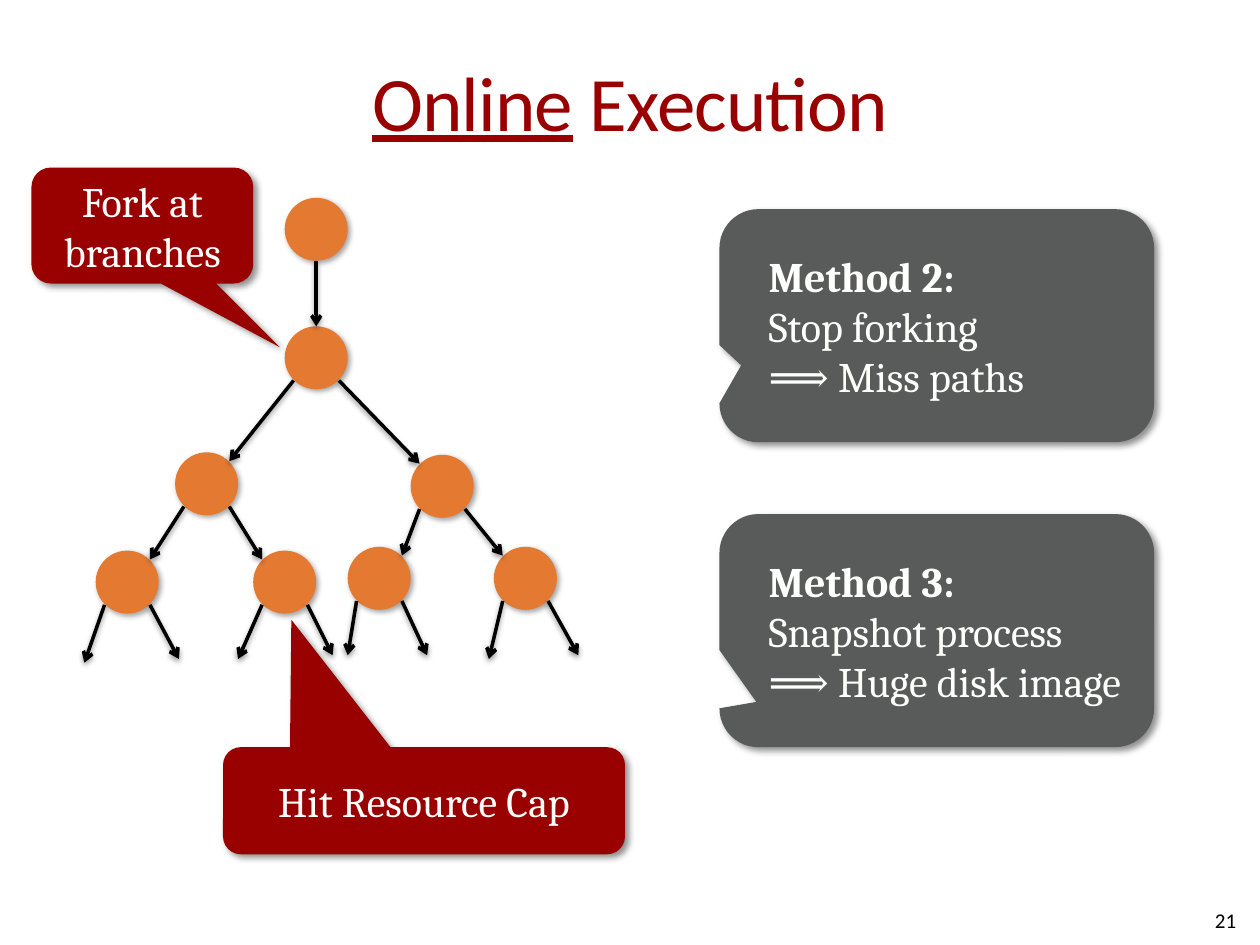
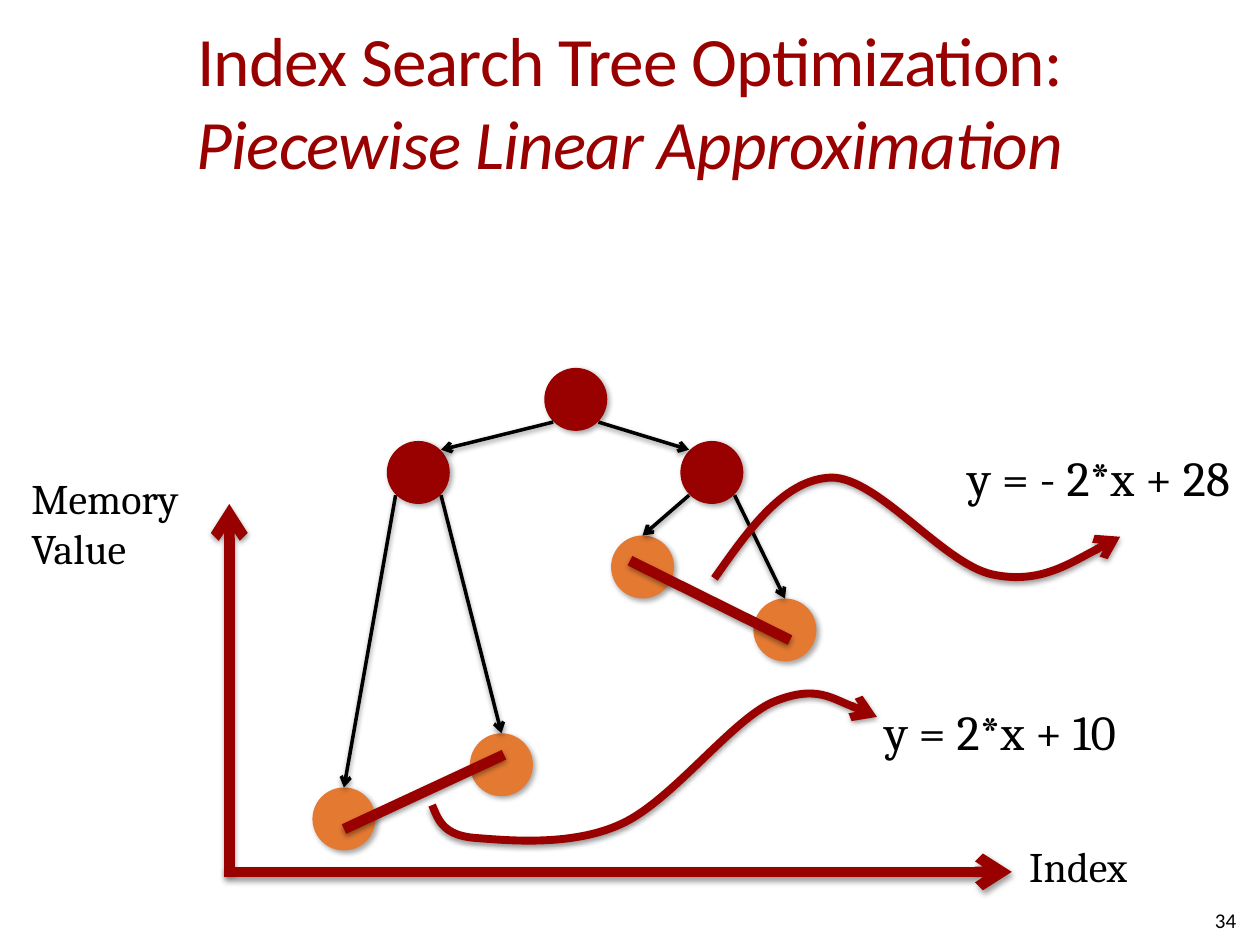
from lxml.etree import SubElement
from pptx import Presentation
from pptx.dml.color import RGBColor
from pptx.enum.shapes import MSO_CONNECTOR, MSO_SHAPE
from pptx.enum.text import MSO_ANCHOR as ANCHOR, PP_ALIGN as ALIGN
from pptx.oxml.ns import qn
from pptx.util import Inches, Pt

RED = RGBColor(0x99, 0x00, 0x00)
ORANGE = RGBColor(0xE4, 0x79, 0x32)
GRAY = RGBColor(0x59, 0x5A, 0x5A)
BLACK = RGBColor(0x00, 0x00, 0x00)
WHITE = RGBColor(0xFF, 0xFF, 0xFE)

# Shadows: opacity %, blur pt, distance pt, direction in degrees
CALLOUT_SHADOW = (43, 4, 3, 45)
NODE_SHADOW = (35, 3.1, 1.8, 45)
LINE_SHADOW = (38, 3.1, 1.6, 90)

RADIUS = 0.25
DIAG = 0.18
# Points on a node's edge, relative to its centre
SITES = {"top": (0, -RADIUS), "bottom": (0, RADIUS),
         "tl": (-DIAG, -DIAG), "tr": (DIAG, -DIAG),
         "bl": (-DIAG, DIAG), "br": (DIAG, DIAG)}


def write(sp, *lines, size=24, font="Cambria", color=BLACK, align=ALIGN.LEFT,
          anchor=ANCHOR.MIDDLE, wrap=True, left=0.1, right=0.1, spacing=None):
    """Each line is a string or a list of (text, style), style being made of b, i and u."""
    tf = sp.text_frame
    tf.word_wrap, tf.vertical_anchor = wrap, anchor
    tf.margin_left, tf.margin_right = Inches(left), Inches(right)
    tf.margin_top = tf.margin_bottom = Inches(0.05)
    for i, line in enumerate(lines):
        p = tf.add_paragraph() if i else tf.paragraphs[0]
        p.alignment = align
        for text, style in [(line, "")] if isinstance(line, str) else line:
            r = p.add_run()
            r.text = text
            r.font.name, r.font.size = font, Pt(size)
            r.font.color.rgb = color
            r.font.bold, r.font.italic, r.font.underline = (c in style for c in "biu")
            if spacing:
                r.font._element.set("spc", str(int(spacing * 100)))


def finish(sp, shadow, fill=None, line=None, width=None, arrow=False):
    """Set fill or line, arrowhead and shadow."""
    if fill is not None:
        sp.fill.solid()
        sp.fill.fore_color.rgb = fill
        sp.line.fill.background()
    else:
        sp.line.color.rgb = line
        sp.line.width = Pt(width)
    spPr = sp._element.spPr
    if arrow:
        SubElement(spPr.find(qn("a:ln")), qn("a:tailEnd"), type="arrow")
    opacity, blur, dist, angle = shadow
    outer = SubElement(SubElement(spPr, qn("a:effectLst")), qn("a:outerShdw"),
                       blurRad=str(Pt(blur)), dist=str(Pt(dist)),
                       dir=str(angle * 60000), rotWithShape="0")
    clr = SubElement(outer, qn("a:srgbClr"), val=str(BLACK))
    SubElement(clr, qn("a:alpha"), val=str(opacity * 1000))


# Nodes: centre x, centre y, colour
EXECUTION_NODES = {
    "root": (2.51, 1.82, ORANGE), "fork": (2.51, 2.84, ORANGE),
    "left": (1.64, 3.84, ORANGE), "right": (3.51, 3.86, ORANGE),
    "ll": (1.01, 4.62, ORANGE), "lr": (2.26, 4.62, ORANGE),
    "rl": (3.01, 4.59, ORANGE), "rr": (4.17, 4.59, ORANGE)}
INDEX_NODES = {
    "ll": (2.73, 6.5, ORANGE), "lr": (3.98, 6.07, ORANGE),
    "rl": (5.1, 4.5, ORANGE), "rr": (6.23, 5, ORANGE),
    "root": (4.57, 3.17, RED), "right": (5.65, 3.75, RED), "left": (3.32, 3.75, RED)}

# Edges: from node, site, to node, site
EXECUTION_EDGES = [
    ("root", "bottom", "fork", "top"),
    ("fork", "bl", "left", "tr"), ("fork", "br", "right", "tl"),
    ("left", "bl", "ll", "tr"), ("left", "br", "lr", "tl"),
    ("right", "bl", "rl", "tr"), ("right", "br", "rr", "tl")]
INDEX_EDGES = [
    ("root", "bl", "left", "tr"), ("root", "br", "right", "tl"),
    ("left", "bl", "ll", "top"), ("left", "br", "lr", "top"),
    ("right", "bl", "rl", "top"), ("right", "br", "rr", "top")]

# Open branches below the leaves: node, site, end point
OPEN_BRANCHES = [
    ("ll", "bl", 0.67, 5.26), ("ll", "br", 1.42, 5.23),
    ("lr", "bl", 1.89, 5.23), ("lr", "br", 2.64, 5.2),
    ("rl", "bl", 2.76, 5.2), ("rl", "br", 3.39, 5.2),
    ("rr", "bl", 3.88, 5.23), ("rr", "br", 4.59, 5.2)]

# Axes and fitted segments: start, end, arrow
INDEX_LINES = [
    (1.82, 6.93, 1.82, 4, True), (1.78, 6.92, 8.03, 6.92, True),
    (2.73, 6.58, 4, 5.99, False), (5, 4.45, 6.27, 5.08, False)]

SLIDES = [
    ([[("Online", "u"), (" Execution", "")]], 44, "21",
     EXECUTION_NODES, EXECUTION_EDGES, OPEN_BRANCHES, []),
    (["Index Search Tree Optimization:", [("Piecewise Linear Approximation", "i")]], 39.6, "34",
     INDEX_NODES, INDEX_EDGES, [], INDEX_LINES)]

prs = Presentation()
prs.slide_width, prs.slide_height = Inches(10), Inches(7.5)

# Titles, page numbers and trees
for title, title_size, number, nodes, edges, branches, thick_lines in SLIDES:
    s = prs.slides.add_slide(prs.slide_layouts[6])
    sp = s.shapes.add_textbox(Inches(0.5), Inches(0.17), Inches(9), Inches(1.25))
    write(sp, *title, size=title_size, font="Calibri", color=RED, align=ALIGN.CENTER,
          left=0, right=0, spacing=-0.5)
    sp = s.shapes.add_textbox(Inches(7.58), Inches(7.1), Inches(2.33), Inches(0.4))
    write(sp, number, size=12, font="Calibri", align=ALIGN.RIGHT)

    for x, y, color in nodes.values():
        sp = s.shapes.add_shape(MSO_SHAPE.OVAL, Inches(x - RADIUS), Inches(y - RADIUS),
                                Inches(2 * RADIUS), Inches(2 * RADIUS))
        finish(sp, NODE_SHADOW, fill=color)

    sites = {(name, site): (x + dx, y + dy) for name, (x, y, _) in nodes.items()
             for site, (dx, dy) in SITES.items()}
    lines = [(*sites[a, i], *sites[b, j], BLACK, 2, True) for a, i, b, j in edges]
    lines += [(*sites[a, i], x, y, BLACK, 2, True) for a, i, x, y in branches]
    lines += [(*ends, RED, 6, arrow) for *ends, arrow in thick_lines]
    for *ends, color, width, arrow in lines:
        sp = s.shapes.add_connector(MSO_CONNECTOR.STRAIGHT, *map(Inches, ends))
        finish(sp, LINE_SHADOW, line=color, width=width, arrow=arrow)

execution, index_tree = prs.slides

# Callouts: box, pointer, colour, lines, alignment, left inset
METHOD_2 = [[("Method 2:", "b")], "Stop forking", "⟹ Miss paths"]
METHOD_3 = [[("Method 3:", "b")], "Snapshot process", "⟹ Huge disk image"]
for box, pointer, color, lines, align, inset in [
        ((5.71, 1.66, 3.45, 1.85), (-0.45, 0.17), GRAY, METHOD_2, ALIGN.LEFT, 0.3),
        ((5.71, 4.08, 3.45, 1.85), (-0.415, 0.306), GRAY, METHOD_3, ALIGN.LEFT, 0.3),
        ((1.77, 5.93, 3.19, 0.85), (-0.33, -1.69), RED, ["Hit Resource Cap"], ALIGN.CENTER, 0.1),
        ((0.25, 1.33, 1.76, 0.92), (0.62, 1.05), RED, ["Fork at branches"], ALIGN.CENTER, 0.1)]:
    sp = execution.shapes.add_shape(MSO_SHAPE.ROUNDED_RECTANGULAR_CALLOUT, *map(Inches, box))
    sp.adjustments[0], sp.adjustments[1] = pointer
    finish(sp, CALLOUT_SHADOW, fill=color)
    write(sp, *lines, color=WHITE, align=align, left=inset)

# Equations and axis labels
for box, lines, size in [
        ((6.92, 5.52, 2.19, 0.57), ["y = 2*x + 10"], 28),
        ((7.58, 3.5, 2.41, 0.57), ["y = - 2*x + 28"], 28),
        ((8.07, 6.62, 1.02, 0.5), ["Index"], 24),
        ((0.15, 3.7, 1.41, 0.91), ["Memory", "Value"], 24)]:
    sp = index_tree.shapes.add_textbox(*map(Inches, box))
    write(sp, *lines, size=size, anchor=ANCHOR.TOP, wrap=False)

# Curved arrows to the equations: a start point, then Bézier triples
for points in [
        [(3.43, 6.39), (3.48, 6.51), (3.52, 6.63), (3.77, 6.65), (4.03, 6.67),
         (4.54, 6.72), (4.93, 6.54), (5.33, 6.36), (5.81, 5.71), (6.14, 5.57),
         (6.48, 5.43), (6.96, 5.69), (6.96, 5.69)],
        [(5.67, 4.59), (5.95, 4.19), (6.23, 3.8), (6.6, 3.79), (6.97, 3.79),
         (7.49, 4.48), (7.88, 4.56), (8.26, 4.64), (8.89, 4.26), (8.89, 4.26)]]:
    start, *rest = [(Inches(x), Inches(y)) for x, y in points]
    builder = index_tree.shapes.build_freeform(*start)
    builder.add_line_segments(rest, close=False)
    sp = builder.convert_to_shape()
    outline = sp._element.find(".//" + qn("a:path"))
    segments = outline.findall(qn("a:lnTo"))
    for i in range(0, len(segments), 3):
        curve = SubElement(outline, qn("a:cubicBezTo"))
        for segment in segments[i:i + 3]:
            curve.append(segment[0])
            outline.remove(segment)
    sp.fill.background()
    finish(sp, LINE_SHADOW, line=RED, width=4.5, arrow=True)

prs.save("out.pptx")
